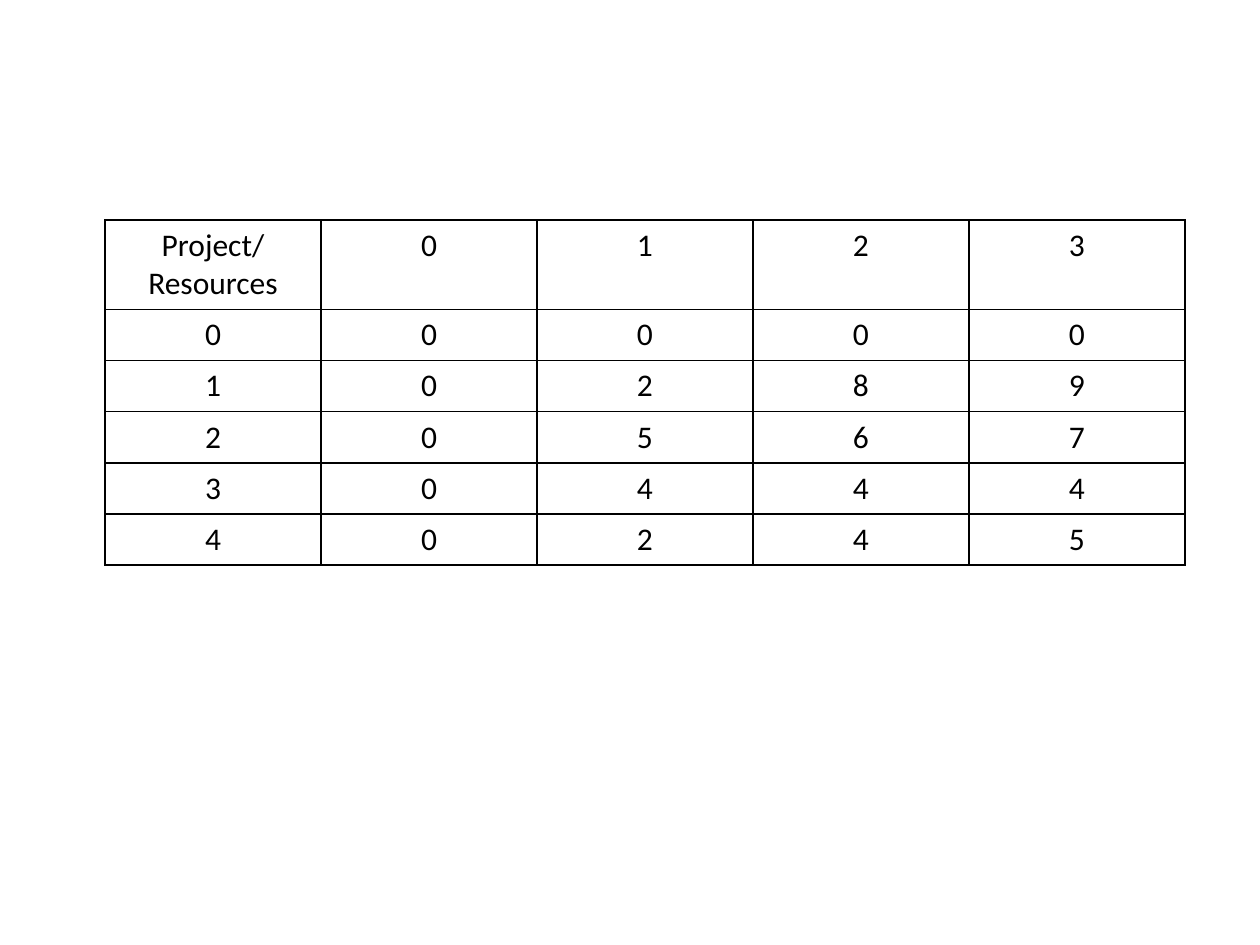
"""Build a slide with a table of returns by project and resources."""
from lxml import etree
from pptx import Presentation
from pptx.dml.color import RGBColor
from pptx.enum.text import PP_ALIGN
from pptx.oxml.ns import qn
from pptx.util import Pt

CENTER = PP_ALIGN.CENTER
PX = 914400 / 126
COLUMN_WIDTH, ROW_HEIGHT = 216, 51
BLACK = "000000"
FONT = {"name": "Calibri", "size": Pt(18), "bold": False}
ROWS = [
    ["Project/Resources", 0, 1, 2, 3],
    [0, 0, 0, 0, 0],
    [1, 0, 2, 8, 9],
    [2, 0, 5, 6, 7],
    [3, 0, 4, 4, 4],
    [4, 0, 2, 4, 5],
]


def px(length):
    return round(length * PX)


def color(value):
    return RGBColor.from_string(value)


presentation = Presentation()
presentation.slide_width, presentation.slide_height = px(1260), px(945)
slide = presentation.slides.add_slide(presentation.slide_layouts[6])

row_count, column_count = len(ROWS), len(ROWS[0])
table = slide.shapes.add_table(
    row_count, column_count, px(105), px(220),
    px(COLUMN_WIDTH * column_count), px(ROW_HEIGHT * row_count),
).table
table.first_row = table.horz_banding = False
for column in table.columns:
    column.width = px(COLUMN_WIDTH)

for row, values in zip(table.rows, ROWS):
    row.height = px(ROW_HEIGHT)
    for cell, value in zip(row.cells, values):
        cell.text = str(value)
        paragraph = cell.text_frame.paragraphs[0]
        paragraph.alignment = CENTER
        font = paragraph.runs[0].font
        for name, setting in FONT.items():
            setattr(font, name, setting)
        font.color.rgb = color(BLACK)
        properties = cell._tc.get_or_add_tcPr()
        for side in ("a:lnL", "a:lnR", "a:lnT", "a:lnB"):
            border = etree.SubElement(properties, qn(side), w=str(Pt(1)))
            fill = etree.SubElement(border, qn("a:solidFill"))
            etree.SubElement(fill, qn("a:srgbClr"), val=BLACK)
        cell.fill.background()

presentation.save("out.pptx")
